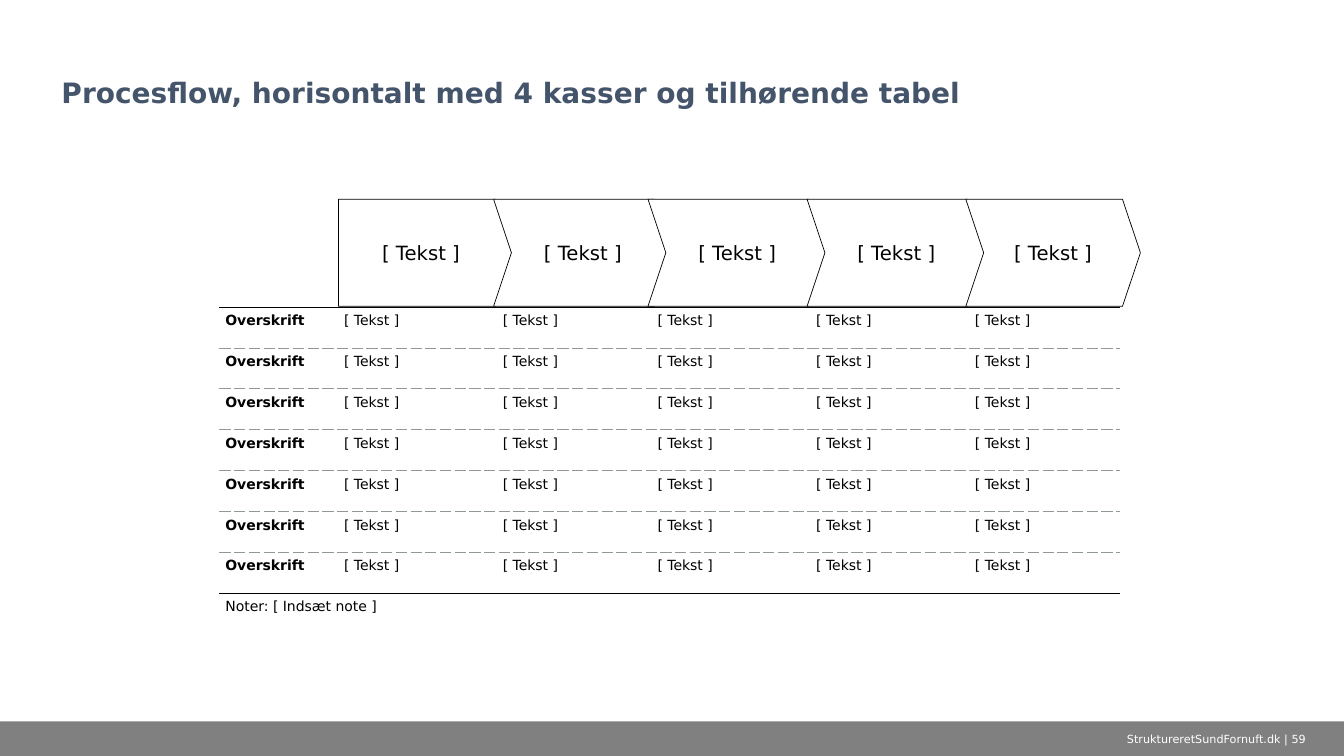
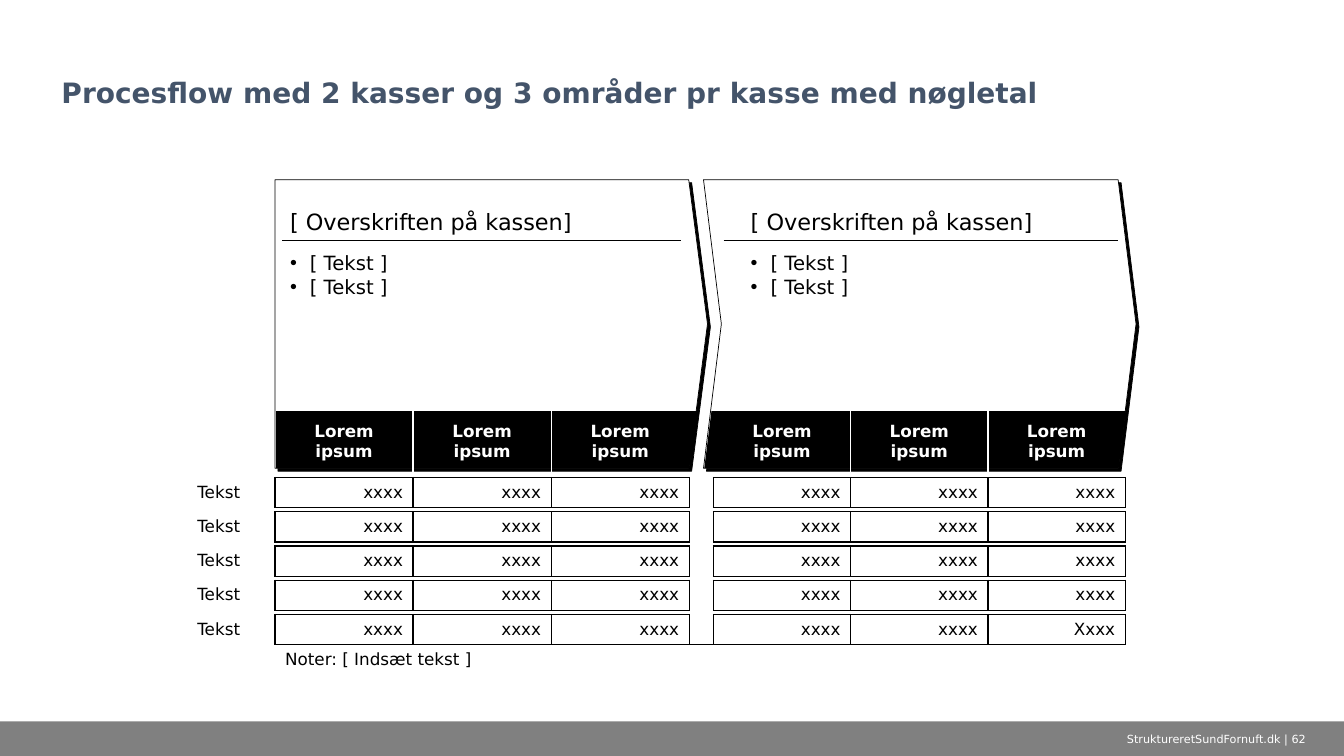
from dataclasses import dataclass

from lxml.etree import SubElement
from pptx import Presentation
from pptx.dml.color import RGBColor as Rgb
from pptx.enum.shapes import MSO_CONNECTOR as Connector, MSO_SHAPE as Preset
from pptx.enum.text import MSO_ANCHOR as Anchor, PP_ALIGN as Align
from pptx.oxml.ns import qn
from pptx.util import Cm, Pt


@dataclass(frozen=True)
class Theme:
    font: str = "DejaVu Sans"
    bullet_font: str = "Arial"
    black: str = "000000"
    white: str = "FFFFFF"
    title: str = "44546A"
    bar: str = "808080"
    dash: str = "90979B"
    title_size: int = 20
    heading_size: int = 16
    body_size: int = 14
    figure_size: int = 12
    table_size: int = 10
    footer_size: int = 8
    outline: float = 0.5
    hairline: float = 0.25
    grid: float = 1


THEME = Theme()
PLAIN_TABLE = "{2D5ABB26-0587-4C30-8999-92F81FD0307C}"


def cm(*lengths):
    return [Cm(length) for length in lengths]


# Text
def add_bullet(para, indent=0.5):
    props = para._p.get_or_add_pPr()
    props.set("marL", str(Cm(indent)))
    props.set("indent", str(-Cm(indent)))
    SubElement(props, qn("a:buFont"), typeface=THEME.bullet_font)
    SubElement(props, qn("a:buChar"), char="•")


def write(frame, lines, size, color=THEME.black, bold=False,
          align=Align.LEFT, bullets=False, spacing=None):
    for index, line in enumerate(lines):
        para = frame.add_paragraph() if index else frame.paragraphs[0]
        if bullets:
            add_bullet(para)
        para.alignment = align
        if spacing:
            para.line_spacing = spacing
        span = para.add_run()
        span.text = line
        span.font.name = THEME.font
        span.font.size = Pt(size)
        span.font.bold = bold
        span.font.color.rgb = Rgb.from_string(color)


def set_margins(target, sides, ends):
    target.margin_left = target.margin_right = Cm(sides)
    target.margin_top = target.margin_bottom = Cm(ends)


def add_text(page, place, lines, size, anchor=Anchor.TOP,
             margins=(0.25, 0.13), **style):
    frame = page.shapes.add_textbox(*cm(*place)).text_frame
    frame.word_wrap = True
    frame.vertical_anchor = anchor
    set_margins(frame, *margins)
    write(frame, lines, size, **style)


# Shapes and lines
def paint(shape, fill, outline=None):
    shape.shadow.inherit = False
    shape.fill.solid()
    shape.fill.fore_color.rgb = Rgb.from_string(fill)
    if outline:
        shape.line.color.rgb = Rgb.from_string(outline)
        shape.line.width = Pt(THEME.outline)
    else:
        shape.line.fill.background()


def add_arrow_box(page, preset, place, point):
    box = page.shapes.add_shape(preset, *cm(*place))
    box.adjustments[0] = point
    paint(box, THEME.white, THEME.black)
    return box


def add_hard_shadow(shape):
    effects = shape._element.spPr.find(qn("a:effectLst"))
    shadow = SubElement(effects, qn("a:outerShdw"), blurRad="0",
                        dist=str(Pt(3)), dir="2700000", algn="ctr",
                        rotWithShape="0")
    SubElement(shadow, qn("a:srgbClr"), val=THEME.black)


def add_rule(page, left, right, top):
    rule = page.shapes.add_connector(Connector.STRAIGHT,
                                     *cm(left, top, right, top))
    rule.line.color.rgb = Rgb.from_string(THEME.black)
    rule.line.width = Pt(THEME.outline)
    SubElement(rule._element.spPr, qn("a:effectLst"))


def add_outline_shape(page, points):
    start, *others = [tuple(cm(*point)) for point in points]
    builder = page.shapes.build_freeform(*start)
    builder.add_line_segments(others, close=True)
    paint(builder.convert_to_shape(), THEME.black)


# Tables
def add_plain_table(page, left, top, widths, heights):
    place = cm(left, top, sum(widths), sum(heights))
    table = page.shapes.add_table(len(heights), len(widths), *place).table
    table.first_row = table.horz_banding = False
    table._tbl.tblPr.find(qn("a:tableStyleId")).text = PLAIN_TABLE
    for column, width in zip(table.columns, widths):
        column.width = Cm(width)
    for row, height in zip(table.rows, heights):
        row.height = Cm(height)
    return table


def finish_cell(cell, sides="", color=THEME.black, width=THEME.grid,
                dash="solid"):
    """Draw the sides named in order from L, R, T, B and clear the fill."""
    props = cell._tc.get_or_add_tcPr()
    for side in sides:
        line = SubElement(props, qn("a:ln" + side), w=str(Pt(width)))
        fill = SubElement(line, qn("a:solidFill"))
        SubElement(fill, qn("a:srgbClr"), val=color)
        SubElement(line, qn("a:prstDash"), val=dash)
    cell.fill.background()


def shrink_cell(cell):
    """Keep an empty cell from stretching its row."""
    set_margins(cell, 0, 0)
    para = cell.text_frame.paragraphs[0]
    SubElement(para._p, qn("a:endParaRPr"), sz="100")


# Title, bottom bar and footer of every slide
def add_page(deck, title, number):
    page = deck.slides.add_slide(deck.slide_layouts[6])
    bar = page.shapes.add_shape(Preset.RECTANGLE, *cm(0, 18.18, 33.87, 0.88))
    paint(bar, THEME.bar)
    add_text(page, (1.3, 0.43, 31.27, 2.46), [title], THEME.title_size,
             Anchor.BOTTOM, color=THEME.title, bold=True, spacing=0.9)
    add_text(page, (27.46, 18.18, 6.4, 0.87),
             [f"StruktureretSundFornuft.dk | {number}"], THEME.footer_size,
             Anchor.MIDDLE, color=THEME.white, align=Align.CENTER)
    return page


# Slide with a row of steps above a table
def add_step_table(page, topics=7):
    # Narrow spacer columns part the text columns
    widths = [2.79, 0.2, 3.8]
    for width in (3.7, 3.8, 3.8, 3.8):
        widths += [0.1, 0.1, width]
    table = add_plain_table(page, 5.53, 7.73, widths, [1.03] * (topics + 1))
    for row_index, row in enumerate(table.rows):
        solid = row_index in (0, topics)
        for column, cell in enumerate(row.cells):
            finish_cell(cell, "T", THEME.black if solid else THEME.dash,
                        THEME.hairline, "solid" if solid else "dash")
            if widths[column] < 1 or (row_index == topics and column):
                shrink_cell(cell)
                continue
            set_margins(cell, 0.15, 0.15)
            if row_index < topics:
                label = "[ Tekst ]" if column else "Overskrift"
                write(cell.text_frame, [label], THEME.table_size,
                      bold=column == 0)
    note = table.cell(topics, 0)
    note.merge(table.cell(topics, len(widths) - 1))
    write(note.text_frame, ["Noter: [ Indsæt note ]"], THEME.table_size)


def build_steps(deck):
    page = add_page(
        deck, "Procesflow, horisontalt med 4 kasser og tilhørende tabel", 59)
    add_step_table(page)
    steps = [(8.53, 4.37), (12.44, 4.5), (16.33, 4.5), (20.34, 4.5),
             (24.34, 4.4)]
    for index, (left, width) in enumerate(steps):
        preset, point = ((Preset.CHEVRON, 0.167) if index
                         else (Preset.PENTAGON, 0.152))
        box = add_arrow_box(page, preset, (left, 5.02, width, 2.7), point)
        box.text_frame.vertical_anchor = Anchor.MIDDLE
        write(box.text_frame, ["[ Tekst ]"], THEME.body_size,
              align=Align.CENTER)


# Slide with two boxes above their key figures
def add_stage(page, preset, left, point, rule, text_left, text_width):
    box = add_arrow_box(page, preset, (left, 4.53, 10.9, 7.27), point)
    add_hard_shadow(box)
    add_rule(page, *rule, 6.05)
    margins = (0.2, 0.15)
    add_text(page, (text_left, 5.14, text_width, 0.93),
             ["[ Overskriften på kassen]"], THEME.heading_size,
             Anchor.BOTTOM, margins)
    add_text(page, (text_left, 6.18, text_width, 5.3), ["[ Tekst ]"] * 2,
             THEME.body_size, margins=margins, bullets=True)


def add_figure_table(page, topics=5):
    widths = [2.21] + [3.48] * 3 + [0.6] + [3.46] * 3
    heights = [1.61] + [0.1, 0.75] * topics + [0.75]
    table = add_plain_table(page, 4.72, 10.32, widths, heights)
    note_row, last = len(heights) - 1, len(widths) - 1
    gap, group_ends = 4, (3, last)
    for row_index, row in enumerate(table.rows):
        for column, cell in enumerate(row.cells):
            figure = column not in (0, gap)
            if row_index == 0:
                inner = figure and column not in group_ends
                finish_cell(cell, "R" if inner else "", THEME.white)
                if figure:
                    cell.vertical_anchor = Anchor.MIDDLE
                    write(cell.text_frame, ["Lorem ipsum"],
                          THEME.figure_size, THEME.white, True, Align.CENTER)
            elif row_index == note_row:
                finish_cell(cell, "T" if column else "")
                if column != 1:
                    shrink_cell(cell)
            elif row_index % 2 or column == gap:
                shrink_cell(cell)
                finish_cell(cell)
            elif figure:
                finish_cell(cell, "LRTB")
                final = row_index == note_row - 1 and column == last
                write(cell.text_frame, ["Xxxx" if final else "xxxx"],
                      THEME.figure_size, align=Align.RIGHT)
            else:
                finish_cell(cell)
                write(cell.text_frame, ["Tekst"], THEME.figure_size)
    note = table.cell(note_row, 1)
    note.merge(table.cell(note_row, last))
    write(note.text_frame, ["Noter: [ Indsæt tekst ]"], THEME.figure_size)


def build_key_figures(deck):
    page = add_page(
        deck, "Procesflow med 2 kasser og 3 områder pr kasse med nøgletal", 62)
    add_stage(page, Preset.PENTAGON, 6.93, 0.065, (7.11, 17.17), 7.11, 10.06)
    add_stage(page, Preset.CHEVRON, 17.73, 0.062, (18.24, 28.17), 18.72, 9.65)
    # Black bands behind the column headings
    top, bottom = 10.36, 11.8
    for upper_left, upper_right, lower_right, lower_left in (
            (17.93, 28.37, 28.19, 17.75), (6.96, 17.58, 17.37, 6.96)):
        add_outline_shape(page, [(upper_left, top), (upper_right, top),
                                 (lower_right, bottom), (lower_left, bottom)])
    add_figure_table(page)


def main():
    deck = Presentation()
    deck.slide_width, deck.slide_height = cm(33.87, 19.05)
    build_steps(deck)
    build_key_figures(deck)
    deck.save("out.pptx")


if __name__ == "__main__":
    main()
